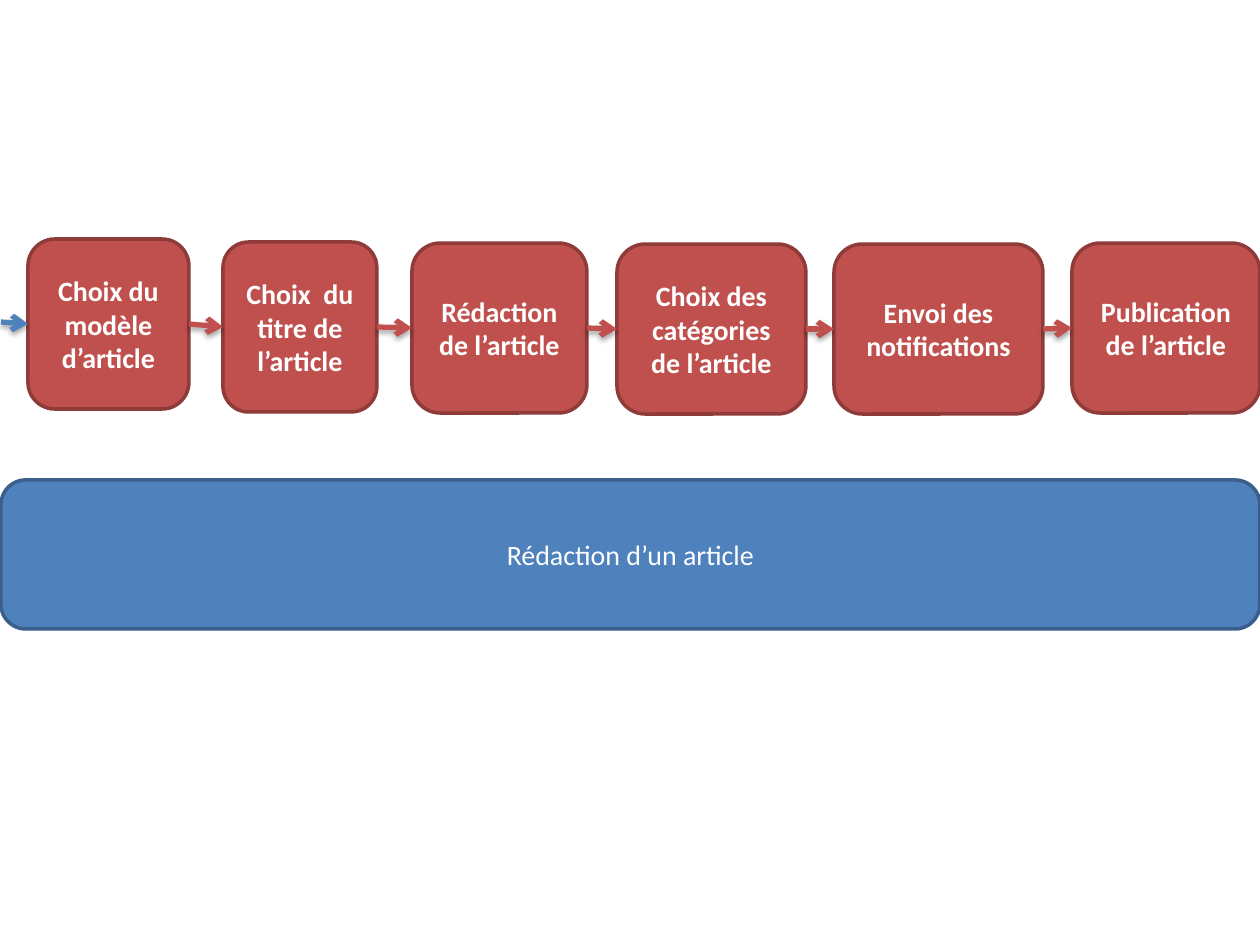
"""Build a slide showing the steps of writing an article above its overall process."""
import dataclasses

import lxml.etree
import pptx
import pptx.dml.color
import pptx.enum.shapes
import pptx.enum.text
import pptx.oxml
import pptx.oxml.ns
import pptx.util

EMU_PER_PX = 914400 / 126
RED, RED_EDGE = "C0504D", "8E3B39"
BLUE, BLUE_EDGE = "4F81BD", "3A5F8C"
LEFT, RIGHT = 1, 3
SHADOW = (
    f'<a:effectLst {pptx.oxml.ns.nsdecls("a")}>'
    '<a:outerShdw blurRad="39370" dist="22860" dir="5400000" rotWithShape="0">'
    '<a:srgbClr val="000000"><a:alpha val="35000"/></a:srgbClr>'
    "</a:outerShdw></a:effectLst>"
)


@dataclasses.dataclass(frozen=True)
class Box:
    text: str
    left: int
    top: int
    width: int
    height: int = 170
    fill: str = RED
    edge: str = RED_EDGE
    bold: bool = True


STEPS = [
    Box("Choix du modèle d’article", 28, 239, 161),
    Box("Choix  du titre de l’article", 223, 242, 154),
    Box("Rédaction de l’article", 412, 243, 175),
    Box("Choix des catégories de l’article", 617, 244, 189),
    Box("Envoi des notifications", 834, 244, 209),
    Box("Publication de l’article", 1072, 243, 188),
]
PROCESS = Box("Rédaction d’un article", 1, 480, 1259, 149, BLUE, BLUE_EDGE, False)


def px(value: int) -> pptx.util.Emu:
    return pptx.util.Emu(round(value * EMU_PER_PX))


def rgb(color: str) -> pptx.dml.color.RGBColor:
    return pptx.dml.color.RGBColor.from_string(color)


def add_box(s, box: Box):
    sp = s.shapes.add_shape(
        pptx.enum.shapes.MSO_SHAPE.FLOWCHART_ALTERNATE_PROCESS,
        px(box.left), px(box.top), px(box.width), px(box.height),
    )
    sp.shadow.inherit = False
    sp.fill.solid()
    sp.fill.fore_color.rgb = rgb(box.fill)
    sp.line.color.rgb = rgb(box.edge)
    sp.line.width = pptx.util.Pt(2)
    tf = sp.text_frame
    tf.word_wrap = True
    tf.vertical_anchor = pptx.enum.text.MSO_ANCHOR.MIDDLE
    p = tf.paragraphs[0]
    p.alignment = pptx.enum.text.PP_ALIGN.CENTER
    r = p.add_run()
    r.text = box.text
    font = {"name": "Calibri", "size": pptx.util.Pt(16), "bold": box.bold}
    for name, value in font.items():
        setattr(r.font, name, value)
    r.font.color.rgb = rgb("FFFFFF")
    return sp


def add_arrow(s, target, color: str, source=None, start: tuple[int, int] = (0, 0)) -> None:
    x, y = map(px, start)
    line = s.shapes.add_connector(
        pptx.enum.shapes.MSO_CONNECTOR.STRAIGHT, x, y, x, y
    )
    if source is not None:
        line.begin_connect(source, RIGHT)
    line.end_connect(target, LEFT)
    line.line.color.rgb = rgb(color)
    line.line.width = pptx.util.Pt(3)
    ln = line.line._get_or_add_ln()
    lxml.etree.SubElement(ln, pptx.oxml.ns.qn("a:tailEnd"), type="arrow")
    line._element.spPr.append(pptx.oxml.parse_xml(SHADOW))


def main() -> None:
    prs = pptx.Presentation()
    prs.slide_width, prs.slide_height = px(1260), px(945)
    s = prs.slides.add_slide(prs.slide_layouts[6])
    add_box(s, PROCESS)
    steps = [add_box(s, step) for step in STEPS]
    add_arrow(s, steps[0], BLUE, start=(1, 322))
    for source, target in zip(steps, steps[1:]):
        add_arrow(s, target, RED, source)
    prs.save("out.pptx")


if __name__ == "__main__":
    main()
